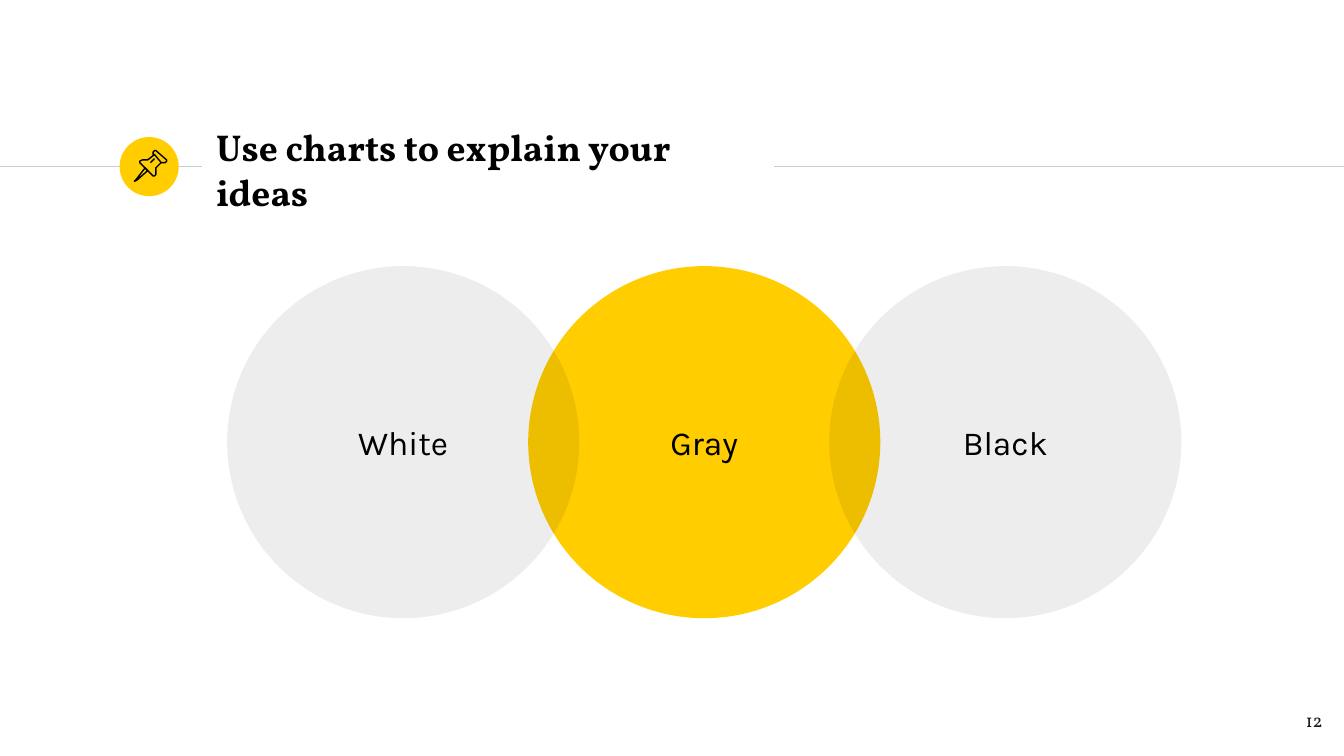
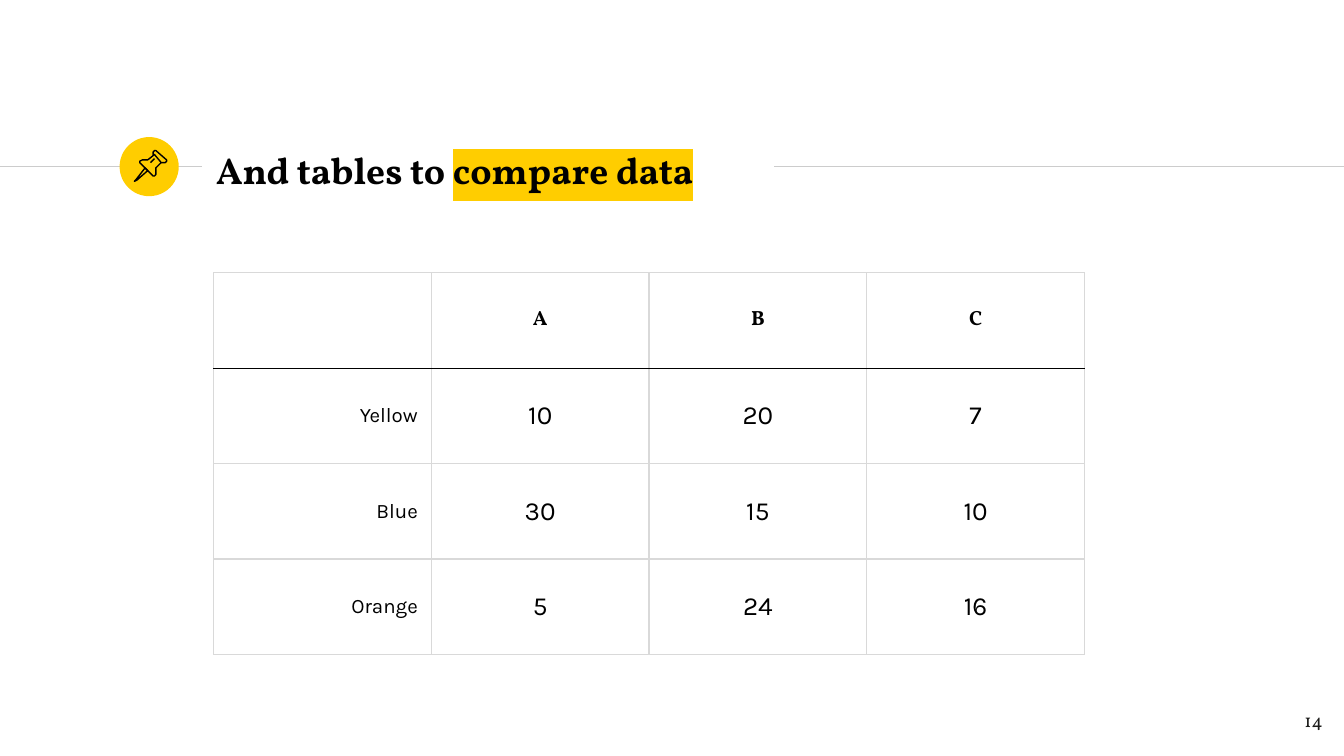
from pptx import Presentation
from pptx.dml.color import RGBColor as RGB
from pptx.enum.shapes import MSO_CONNECTOR as LINK, MSO_SHAPE as SHAPE
from pptx.enum.text import MSO_ANCHOR as ANCHOR, PP_ALIGN as ALIGN
from pptx.oxml.ns import qn
from pptx.util import Inches, Pt
from lxml.etree import SubElement

GOLD, BLACK, INK = "FFCD00", "000000", "1D1D1B"
RULE, GRID = "CCCCCC", "D9D9D9"
HEAD, BODY = "Vollkorn", "Karla"
PIN = [
    ([(108, 125), (101, 134), (100, 135), (102, 134), (110, 127)], True),
    ([(115, 115), (120, 121), (122, 121), (123, 121), (124, 120), (124, 119),
      (116, 112), (115, 112), (114, 113), (114, 115)], True),
    ([(115, 115), (110, 119), (108, 119), (106, 119), (104, 120), (104, 121),
      (114, 131), (115, 131), (116, 130), (116, 128), (116, 125), (120, 121)], False),
    ([(112, 121), (115, 118)], False),
]


def color(code):
    return RGB.from_string(code)


def style(run, size, font, code=BLACK, bold=False):
    run.font.size = Pt(size)
    run.font.name = font
    run.font.bold = bold
    run.font.color.rgb = color(code)


def mark(run, code):
    glow = SubElement(run.font._element, qn("a:highlight"))
    SubElement(glow, qn("a:srgbClr")).set("val", code)
    run.font._element.find(qn("a:solidFill")).addnext(glow)


def pad(frame, anchor):
    frame.word_wrap = True
    frame.vertical_anchor = anchor
    frame.margin_left = frame.margin_right = Inches(0.1)
    frame.margin_top = frame.margin_bottom = Inches(0.1)


def add_rule(slide, start, end, y):
    rule = slide.shapes.add_connector(
        LINK.STRAIGHT, Inches(start), Inches(y), Inches(end), Inches(y))
    rule.line.color.rgb = color(RULE)
    rule.line.width = Pt(0.75)
    SubElement(rule._element.spPr, qn("a:effectLst"))


def add_disc(slide, left, top, size, code, text="", alpha=None):
    disc = slide.shapes.add_shape(
        SHAPE.OVAL, Inches(left), Inches(top), Inches(size), Inches(size))
    disc.shadow.inherit = False
    disc.line.fill.background()
    disc.fill.solid()
    disc.fill.fore_color.rgb = color(code)
    if alpha:
        tone = disc._element.spPr.find(".//" + qn("a:srgbClr"))
        SubElement(tone, qn("a:alpha")).set("val", str(alpha * 1000))
    if text:
        frame = disc.text_frame
        pad(frame, ANCHOR.MIDDLE)
        frame.text = text
        frame.paragraphs[0].alignment = ALIGN.CENTER
        style(frame.paragraphs[0].runs[0], 18, BODY)


def add_text(slide, box, parts, size, code, bold=False,
             align=ALIGN.LEFT, anchor=ANCHOR.TOP):
    frame = slide.shapes.add_textbox(*map(Inches, box)).text_frame
    pad(frame, anchor)
    para = frame.paragraphs[0]
    para.alignment = align
    for text, glow in parts:
        run = para.add_run()
        run.text = text
        style(run, size, HEAD, code, bold)
        if glow:
            mark(run, glow)


def add_pin(slide):
    group = slide.shapes.add_group_shape()
    for points, closed in PIN:
        path = group.shapes.build_freeform(*points[0], scale=Inches(0.01))
        path.add_line_segments(points[1:], close=closed)
        part = path.convert_to_shape()
        part.shadow.inherit = False
        part.fill.background()
        part.line.color.rgb = color(BLACK)
        part.line.width = Pt(0.75)


def add_base(deck, title, page):
    slide = deck.slides.add_slide(deck.slide_layouts[6])
    add_rule(slide, 0, 1.5, 1.24)
    add_disc(slide, 0.89, 1.02, 0.44, GOLD)
    add_rule(slide, 5.76, 10, 1.24)
    add_text(slide, (1.51, 1.02, 4.24, 0.48), title, 20, BLACK,
             bold=True, anchor=ANCHOR.MIDDLE)
    add_pin(slide)
    add_text(slide, (9.34, 5.19, 0.6, 0.43), [(page, None)], 10, INK,
             align=ALIGN.RIGHT)
    return slide


def edge(cell, side, code):
    line = SubElement(cell._tc.get_or_add_tcPr(), qn("a:ln" + side))
    line.set("w", str(Pt(0.75)))
    fill = SubElement(line, qn("a:solidFill"))
    SubElement(fill, qn("a:srgbClr")).set("val", code)


def add_cell(cell, text, row, col):
    for side in "LRTB":
        dark = (row, side) in ((0, "B"), (1, "T"))
        edge(cell, side, BLACK if dark else GRID)
    cell.fill.background()
    cell.vertical_anchor = ANCHOR.MIDDLE
    cell.margin_left = cell.margin_right = Inches(0.1)
    cell.margin_top = cell.margin_bottom = Inches(0.07)
    if not text:
        return
    cell.text_frame.text = text
    para = cell.text_frame.paragraphs[0]
    para.alignment = ALIGN.CENTER if col else ALIGN.RIGHT
    size = 14 if row and col else 11
    style(para.runs[0], size, BODY if row else HEAD, bold=row == 0)


def add_grid(slide, left, top, wide, high, data):
    rows, cols = len(data), len(data[0])
    table = slide.shapes.add_table(
        rows, cols, Inches(left), Inches(top),
        Inches(wide * cols), Inches(high * rows)).table
    table.first_row = table.horz_banding = False
    for col in table.columns:
        col.width = Inches(wide)
    for r, line in enumerate(data):
        table.rows[r].height = Inches(high)
        for c, text in enumerate(line):
            add_cell(table.cell(r, c), text, r, c)


def main():
    deck = Presentation()
    deck.slide_width = Inches(10)
    deck.slide_height = Inches(10) * 9 // 16

    slide = add_base(deck, [("Use charts to explain your ideas", None)], "12")
    discs = [("Gray", 1, GOLD, None), ("White", 0, BLACK, 7), ("Black", 2, BLACK, 7)]
    for text, place, code, alpha in discs:
        add_disc(slide, 1.69 + 2.24 * place, 1.98, 2.62, code, text, alpha)

    slide = add_base(deck, [("And tables to ", None), ("compare data", GOLD)], "14")
    add_grid(slide, 1.59, 2.03, 1.62, 0.71, [
        ["", "A", "B", "C"],
        ["Yellow", "10", "20", "7"],
        ["Blue", "30", "15", "10"],
        ["Orange", "5", "24", "16"],
    ])
    deck.save("out.pptx")


if __name__ == "__main__":
    main()
